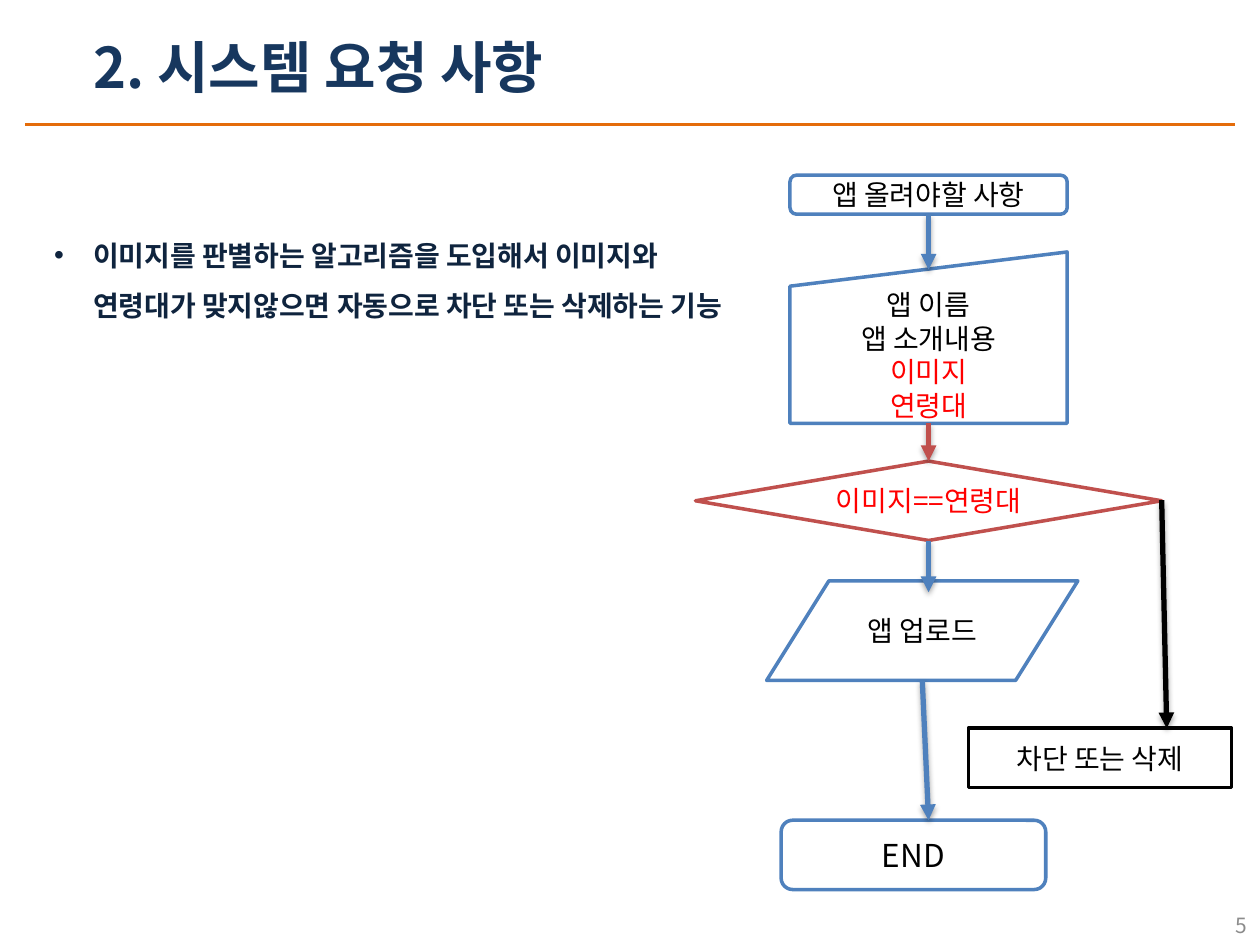
from dataclasses import dataclass

from lxml import etree
from pptx import Presentation
from pptx.dml.color import RGBColor
from pptx.enum.shapes import MSO_CONNECTOR, MSO_SHAPE
from pptx.enum.text import MSO_ANCHOR, MSO_AUTO_SIZE, PP_ALIGN
from pptx.oxml.ns import qn
from pptx.util import Inches, Pt

LEFT, CENTER, RIGHT = PP_ALIGN.LEFT, PP_ALIGN.CENTER, PP_ALIGN.RIGHT
TOP, MIDDLE = MSO_ANCHOR.TOP, MSO_ANCHOR.MIDDLE
TERMINAL = MSO_SHAPE.FLOWCHART_ALTERNATE_PROCESS
INPUT = MSO_SHAPE.FLOWCHART_MANUAL_INPUT
DECISION = MSO_SHAPE.FLOWCHART_DECISION
DATA = MSO_SHAPE.FLOWCHART_DATA
PROCESS = MSO_SHAPE.FLOWCHART_PROCESS

COLS, ROWS = 100, 75  # grid cells across and down the slide
AXIS = 73.7  # column on which the main flow runs


@dataclass(frozen=True)
class Theme:
    font: str = "Noto Sans CJK KR"
    title: str = "17375E"
    body: str = "0F243E"
    number: str = "8C8C8C"
    rule: str = "E46C0A"
    blue: str = "4F81BD"
    brick: str = "C0504D"
    red: str = "FF0000"
    black: str = "000000"
    white: str = "FFFFFF"
    title_size: int = 32
    end_size: int = 18
    text_size: int = 16
    number_size: int = 12


class Deck:
    def __init__(self, theme):
        self.theme = theme
        self.prs = Presentation()
        self.prs.slide_width, self.prs.slide_height = Inches(10), Inches(7.5)
        self.s = self.prs.slides.add_slide(self.prs.slide_layouts[1])

    def x(self, col):
        return round(self.prs.slide_width * col / COLS)

    def y(self, row):
        return round(self.prs.slide_height * row / ROWS)

    def box(self, left, top, width, height):
        return self.x(left), self.y(top), self.x(width), self.y(height)

    def set_text(self, sp, lines, size, align=LEFT, anchor=MIDDLE, bold=False):
        """Fill a shape with (text, colour) lines, one paragraph each."""
        tf = sp.text_frame
        tf.word_wrap, tf.auto_size = True, MSO_AUTO_SIZE.NONE
        tf.vertical_anchor = anchor
        for i, (text, color) in enumerate(lines):
            p = tf.add_paragraph() if i else tf.paragraphs[0]
            p.text, p.alignment = text, align
            p.space_before = Pt(0)
            font = p.font
            font.name, font.size, font.bold = self.theme.font, Pt(size), bold
            font.color.rgb = RGBColor.from_string(color)
            # Hangul takes its typeface from the East Asian slot
            defaults = p._p.pPr.find(qn("a:defRPr"))
            etree.SubElement(defaults, qn("a:ea"), typeface=self.theme.font)
        return tf

    def place(self, sp, box):
        sp.left, sp.top, sp.width, sp.height = self.box(*box)
        return sp

    def title(self, text, box):
        sp = self.place(self.s.shapes.title, box)
        self.set_text(sp, [(text, self.theme.title)], self.theme.title_size,
                      anchor=TOP, bold=True)

    def bullet(self, text, box, indent):
        sp = self.place(self.s.placeholders[1], box)
        tf = self.set_text(sp, [(text, self.theme.body)], self.theme.text_size,
                           anchor=TOP, bold=True)
        p = tf.paragraphs[0]
        p.line_spacing = 1.5
        pPr = p._p.pPr
        pPr.set("marL", str(self.x(indent)))
        pPr.set("indent", str(-self.x(indent)))

    def page_number(self, text, box):
        sp = self.s.shapes.add_textbox(*self.box(*box))
        self.set_text(sp, [(text, self.theme.number)], self.theme.number_size, RIGHT)

    def node(self, kind, lines, center, top, width, height, color, size=None):
        """Draw an outlined step centred on a column."""
        box = self.box(center - width / 2, top, width, height)
        sp = self.s.shapes.add_shape(kind, *box)
        sp.shadow.inherit = False
        sp.fill.solid()
        sp.fill.fore_color.rgb = RGBColor.from_string(self.theme.white)
        sp.line.color.rgb = RGBColor.from_string(color)
        sp.line.width = Pt(2)
        self.set_text(sp, lines, size or self.theme.text_size, CENTER)

    def line(self, start, end, color, weight):
        """Draw a straight line and return it with its empty effect list."""
        (x1, y1), (x2, y2) = start, end
        sp = self.s.shapes.add_connector(MSO_CONNECTOR.STRAIGHT, self.x(x1),
                                         self.y(y1), self.x(x2), self.y(y2))
        sp.line.color.rgb = RGBColor.from_string(color)
        sp.line.width = Pt(weight)
        effects = etree.SubElement(sp._element.spPr, qn("a:effectLst"))
        return sp, effects

    def arrow(self, start, end, color):
        sp, effects = self.line(start, end, color, 3)
        ln = sp._element.spPr.find(qn("a:ln"))
        etree.SubElement(ln, qn("a:tailEnd"), type="triangle")
        shadow = etree.SubElement(
            effects, qn("a:outerShdw"), blurRad=str(Pt(3.1)), dist=str(Pt(1.8)),
            dir=str(90 * 60000), rotWithShape="0")
        shade = etree.SubElement(shadow, qn("a:srgbClr"), val=self.theme.black)
        etree.SubElement(shade, qn("a:alpha"), val="35000")


def main():
    t = Theme()
    deck = Deck(t)
    deck.line((2, 9.9), (98, 9.9), t.rule, 1.5)
    deck.title("2. 시스템 요청 사항", (6.4, 2.1, 41.9, 6.4))
    deck.page_number("5", (76.7, 72.1, 23.3, 2.7))
    deck.bullet("이미지를 판별하는 알고리즘을 도입해서 이미지와 연령대가 "
                "맞지않으면 자동으로 차단 또는 삭제하는 기능",
                (3.3, 17.1, 56.7, 21.2), 3.1)

    fields = [("앱 이름", t.black), ("앱 소개내용", t.black),
              ("이미지", t.red), ("연령대", t.red)]
    deck.node(TERMINAL, [("앱 올려야할 사항", t.black)], AXIS, 13.9, 22, 3.1, t.blue)
    deck.node(INPUT, fields, AXIS, 20, 22, 13.6, t.blue)
    deck.node(DECISION, [("이미지==연령대", t.red)], AXIS, 36.6, 37, 6.3, t.brick)
    deck.node(DATA, [("앱 업로드", t.black)], 73.2, 46.1, 24.7, 7.9, t.blue)
    deck.node(PROCESS, [("차단 또는 삭제", t.black)], 87.3, 57.8, 20.9, 4.7, t.black)
    deck.node(TERMINAL, [("END", t.black)], 72.5, 65.1, 21, 5.5, t.blue, t.end_size)

    for start, end, color in [
        ((AXIS, 17), (AXIS, 21.4), t.blue),
        ((AXIS, 33.6), (AXIS, 36.6), t.brick),
        ((AXIS, 42.9), (AXIS, 47), t.blue),
        ((73.2, 54), (AXIS, 65.1), t.blue),
        ((92.2, 39.7), (92.6, 57.8), t.black),
    ]:
        deck.arrow(start, end, color)

    deck.prs.save("out.pptx")


if __name__ == "__main__":
    main()
